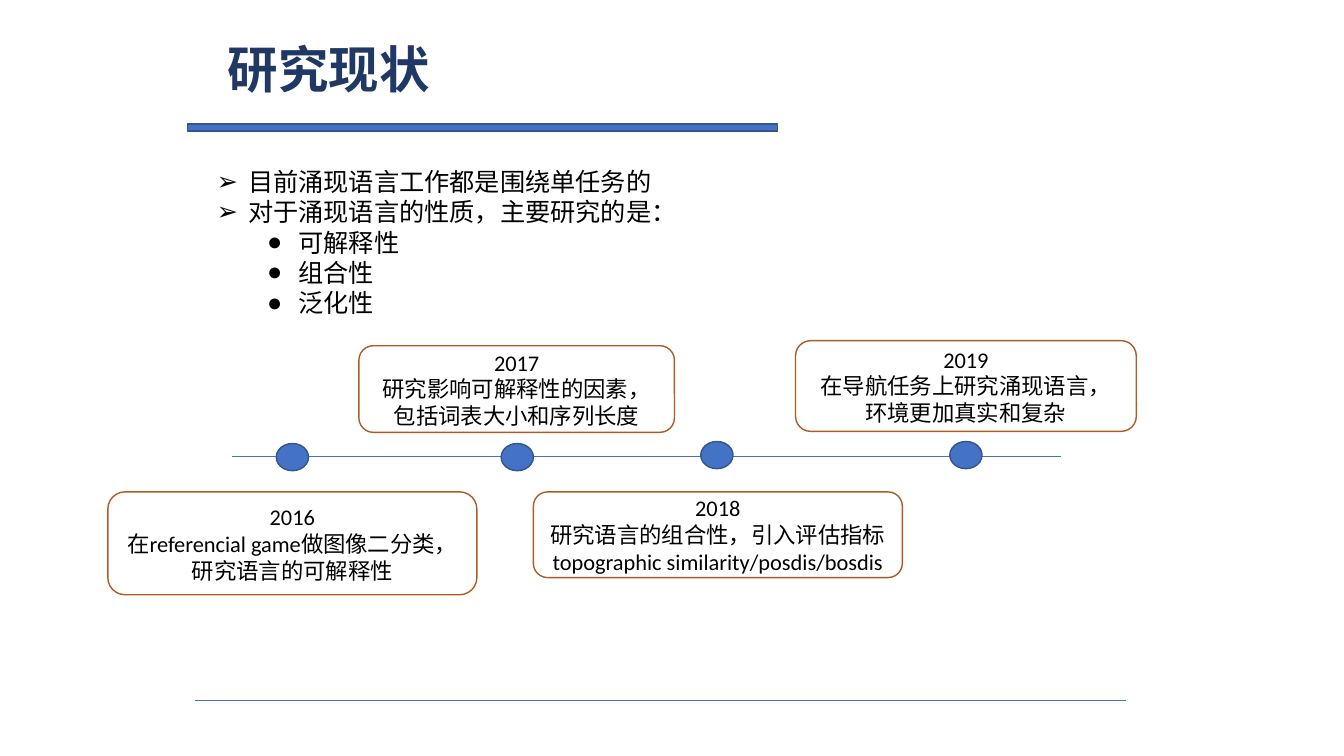
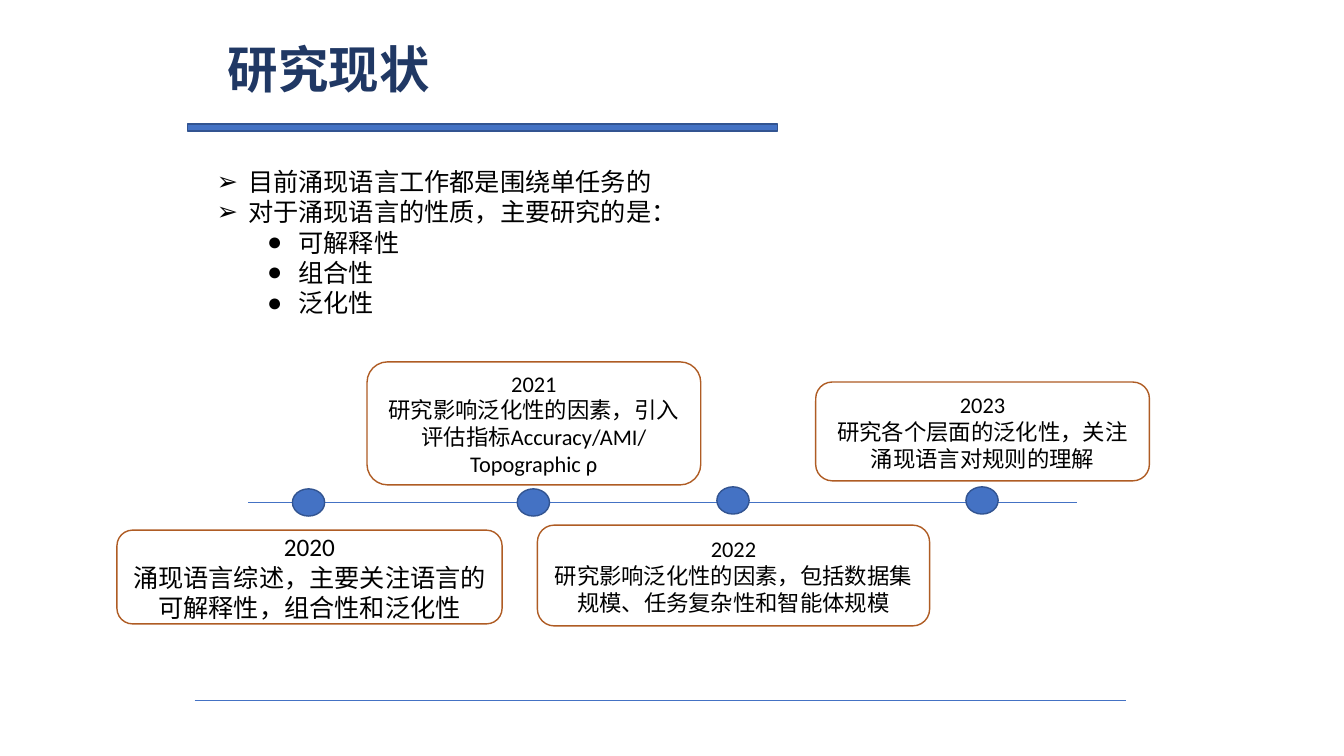
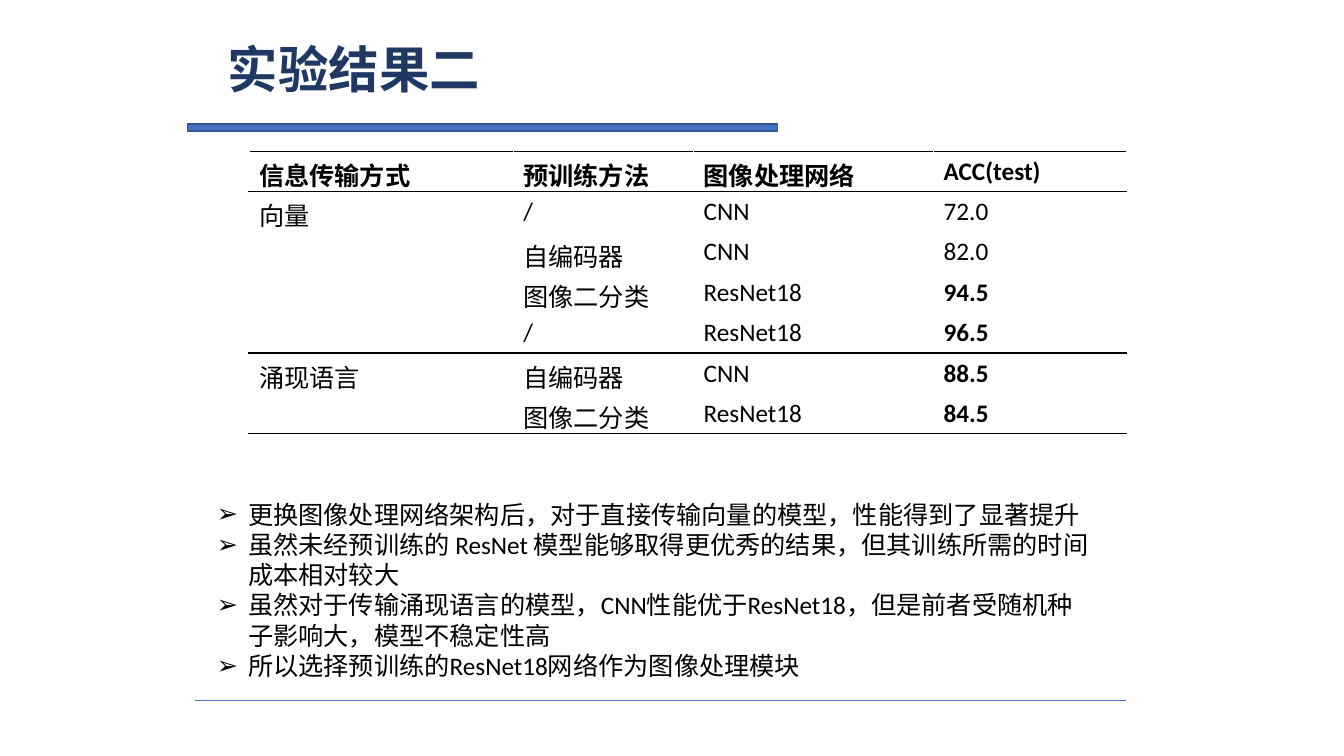
from lxml.etree import SubElement
from pptx import Presentation
from pptx.dml.color import RGBColor as RGB
from pptx.enum.shapes import MSO_CONNECTOR as LINK, MSO_SHAPE as SHAPE
from pptx.enum.text import MSO_ANCHOR as ANCHOR, MSO_AUTO_SIZE as AUTO, PP_ALIGN as ALIGN
from pptx.oxml.ns import qn
from pptx.util import Inches, Pt

FONT = "Calibri"
BLACK, WHITE, NAVY = "000000", "FFFFFF", "203864"
BLUE, EDGE, RUST = "4472C4", "325491", "AF5C24"

BULLETS = "➢", "●"
TOPICS = [
    ("目前涌现语言工作都是围绕单任务的", 0),
    ("对于涌现语言的性质，主要研究的是：", 0),
    ("可解释性", 1),
    ("组合性", 1),
    ("泛化性", 1),
]
FINDINGS = [
    ("更换图像处理网络架构后，对于直接传输向量的模型，性能得到了显著提升", 0),
    ("虽然未经预训练的 ResNet 模型能够取得更优秀的结果，但其训练所需的时间成本相对较大", 0),
    ("虽然对于传输涌现语言的模型，CNN性能优于ResNet18，但是前者受随机种子影响大，模型不稳定性高", 0),
    ("所以选择预训练的ResNet18网络作为图像处理模块", 0),
]
TOPIC_AREA = 2.05, 1.6, 8.05, 2.52
FINDING_AREA = 2.05, 4.9, 8.85, 1.92

DOTS = (0.44, -0.13), (2.67, -0.13), (4.65, -0.15), (7.12, -0.15)
SPANS = [
    {"start": (2.3, 4.53), "cards": [
        ("2016", "在referencial game做图像二分类，研究语言的可解释性", 16, (1.07, 4.88, 3.66, 1.02)),
        ("2017", "研究影响可解释性的因素，包括词表大小和序列长度", 16, (3.56, 3.43, 3.13, 0.86)),
        ("2018", "研究语言的组合性，引入评估指标topographic similarity/posdis/bosdis", 16,
         (5.29, 4.88, 3.66, 0.85)),
        ("2019", "在导航任务上研究涌现语言，环境更加真实和复杂", 16, (7.89, 3.38, 3.38, 0.9)),
    ]},
    {"start": (2.46, 4.98), "cards": [
        ("2020", "涌现语言综述，主要关注语言的可解释性，组合性和泛化性", 18, (1.16, 5.26, 3.82, 0.93)),
        ("2021", "研究影响泛化性的因素，引入评估指标Accuracy/AMI/Topographic ρ", 16,
         (3.64, 3.59, 3.31, 1.22)),
        ("2022", "研究影响泛化性的因素，包括数据集规模、任务复杂性和智能体规模", 16, (5.33, 5.21, 3.89, 1)),
        ("2023", "研究各个层面的泛化性，关注涌现语言对规则的理解", 16, (8.09, 3.79, 3.31, 0.98)),
    ]},
]

SCORES = [
    ("信息传输方式", "预训练方法", "图像处理网络", "ACC(test)"),
    ("向量", "/", "CNN", "72.0"),
    ("", "自编码器", "CNN", "82.0"),
    ("", "图像二分类", "ResNet18", "94.5"),
    ("", "/", "ResNet18", "96.5"),
    ("涌现语言", "自编码器", "CNN", "88.5"),
    ("", "图像二分类", "ResNet18", "84.5"),
]
WIDTHS = 2.62, 1.79, 2.38, 1.91
ROW = 0.4
RULED = 0, 4, 6
BOLD_FROM = 3


def color(code):
    return RGB.from_string(code)


def inch(*sizes):
    return [Inches(size) for size in sizes]


def write(frame, items, size=18, ink=BLACK, bold=False, align=ALIGN.LEFT, marks=False):
    frame.word_wrap = True
    for i, (text, level) in enumerate(items):
        para = frame.paragraphs[0] if i == 0 else frame.add_paragraph()
        if marks:
            para.level = level
            props = para._p.get_or_add_pPr()
            props.set("marL", str(Inches(0.31 + 0.5 * level)))
            props.set("indent", str(Inches(-0.31)))
            SubElement(props, qn("a:buChar")).set("char", BULLETS[level])
        para.alignment = align
        para.space_before = Pt(0)
        run = para.add_run()
        run.text = text
        font = run.font
        font.name, font.size, font.bold = FONT, Pt(size), bold
        font.color.rgb = color(ink)


def place(holder, area):
    holder.left, holder.top, holder.width, holder.height = inch(*area)
    frame = holder.text_frame
    frame.auto_size = AUTO.SHAPE_TO_FIT_TEXT
    frame.vertical_anchor = ANCHOR.TOP
    return frame


def draw(slide, kind, area, fill=BLUE, edge=EDGE):
    shape = slide.shapes.add_shape(kind, *inch(*area))
    shape.shadow.inherit = False
    shape.fill.solid()
    shape.fill.fore_color.rgb = color(fill)
    shape.line.color.rgb = color(edge)
    shape.line.width = Pt(1)
    return shape


def rule(slide, left, top, width):
    line = slide.shapes.add_connector(LINK.STRAIGHT, *inch(left, top, left + width, top))
    line.line.color.rgb = color(BLUE)
    line.line.width = Pt(0.5)
    SubElement(line._element.spPr, qn("a:effectLst"))


def start(deck, title, items, area):
    slide = deck.slides.add_slide(deck.slide_layouts[1])
    frame = place(slide.shapes.title, (2.05, 0.33, 7.82, 0.71))
    frame.margin_left = Inches(0.21)
    write(frame, [(title, 0)], size=36, ink=NAVY, bold=True)
    write(place(slide.placeholders[1], area), items, marks=True)
    draw(slide, SHAPE.RECTANGLE, (1.86, 1.23, 5.85, 0.07))
    rule(slide, 1.93, 6.95, 9.24)
    return slide


def add_span(slide, span):
    left, top = span["start"]
    rule(slide, left, top, 8.22)
    for x, y in DOTS:
        draw(slide, SHAPE.OVAL, (left + x, top + y, 0.32, 0.27))
    for year, text, size, area in span["cards"]:
        card = draw(slide, SHAPE.ROUNDED_RECTANGLE, area, WHITE, RUST)
        card.text_frame.vertical_anchor = ANCHOR.MIDDLE
        write(card.text_frame, [(year, 0), (text, 0)], size=size, align=ALIGN.CENTER)


def border(cell, side, ink):
    line = SubElement(cell._tc.get_or_add_tcPr(), qn("a:ln" + side), w=str(Pt(1)))
    fill = SubElement(line, qn("a:solidFill"))
    SubElement(fill, qn("a:srgbClr")).set("val", ink)


def add_scores(slide):
    area = inch(2.47, 1.5, sum(WIDTHS), ROW * len(SCORES))
    table = slide.shapes.add_table(len(SCORES), len(WIDTHS), *area).table
    table.first_row = table.horz_banding = False
    for column, width in zip(table.columns, WIDTHS):
        column.width = Inches(width)
    for r, values in enumerate(SCORES):
        table.rows[r].height = Inches(ROW)
        for c, value in enumerate(values):
            cell = table.cell(r, c)
            border(cell, "L", WHITE)
            border(cell, "R", WHITE)
            if r == 0 or r - 1 in RULED:
                border(cell, "T", BLACK)
            if r in RULED:
                border(cell, "B", BLACK)
            cell.fill.background()
            if value:
                strong = r == 0 or (c == 3 and r >= BOLD_FROM)
                write(cell.text_frame, [(value, 0)], bold=strong)


def main():
    deck = Presentation()
    deck.slide_width, deck.slide_height = inch(13.33, 7.5)
    for span in SPANS:
        add_span(start(deck, "研究现状", TOPICS, TOPIC_AREA), span)
    add_scores(start(deck, "实验结果二", FINDINGS, FINDING_AREA))
    deck.save("out.pptx")


if __name__ == "__main__":
    main()
